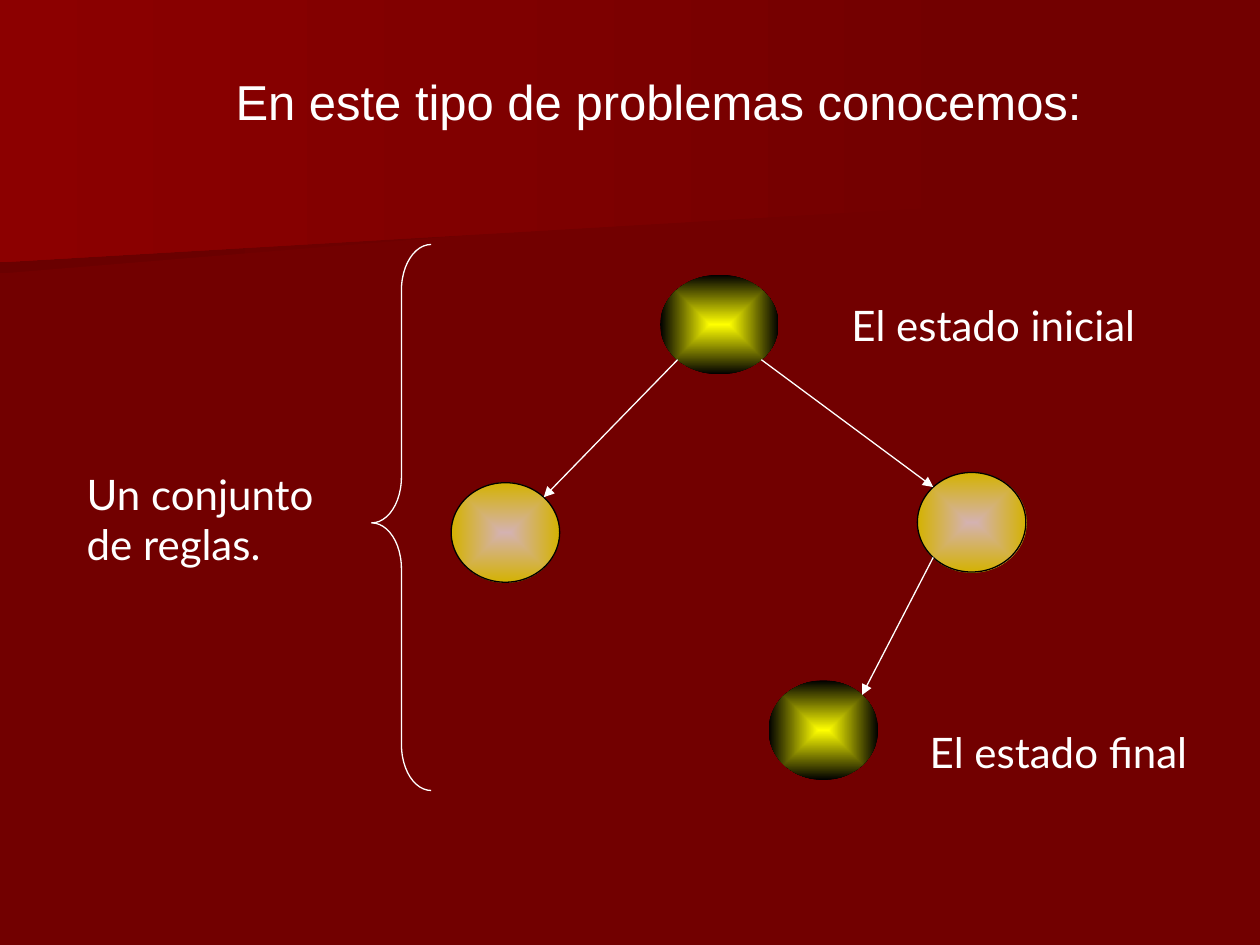
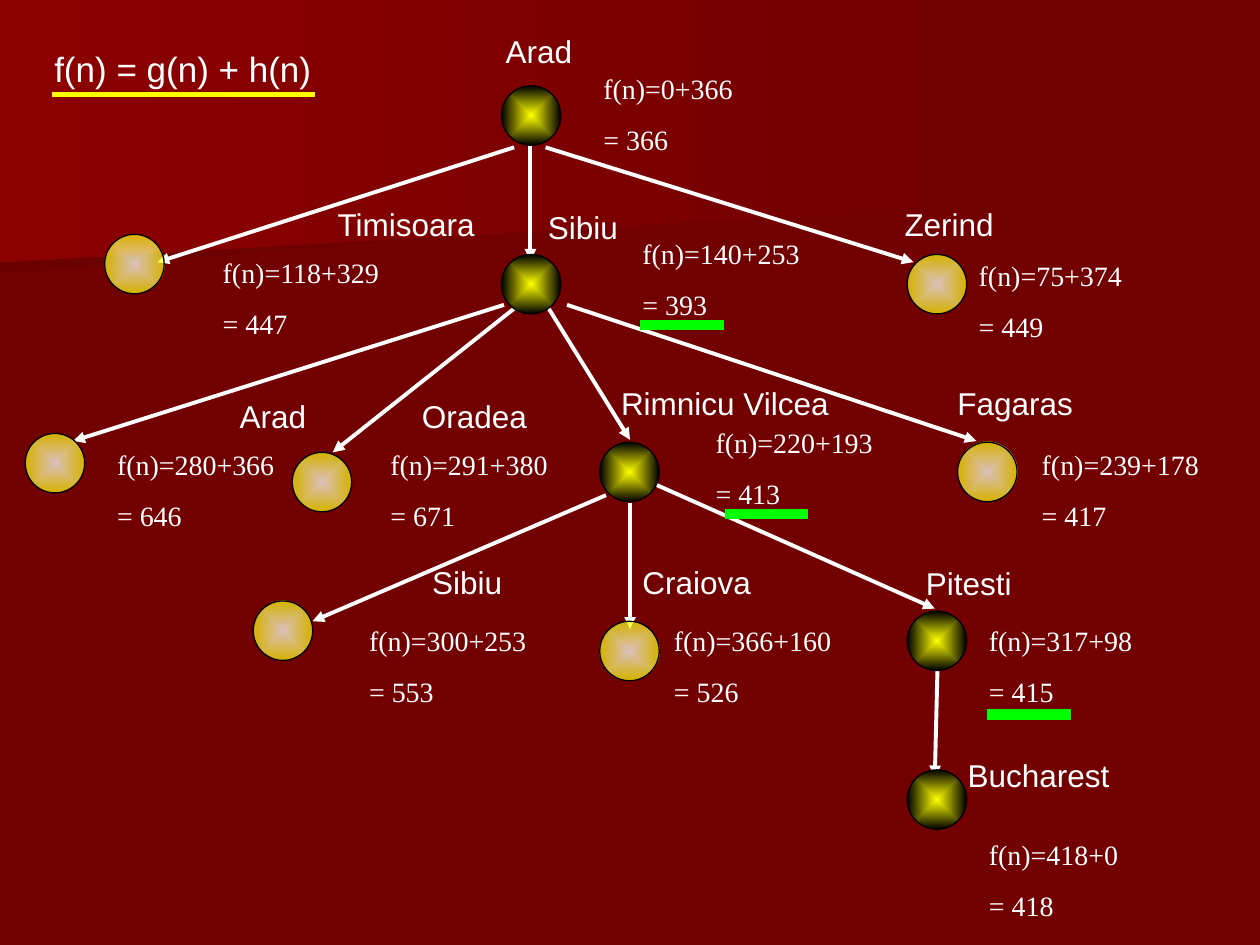
from dataclasses import dataclass
from math import sqrt

from pptx import Presentation
from pptx.dml.color import RGBColor
from pptx.enum.shapes import MSO_CONNECTOR as Connector, MSO_SHAPE as Preset
from pptx.enum.text import MSO_ANCHOR as Anchor, MSO_AUTO_SIZE as AutoSize, PP_ALIGN as Align
from pptx.oxml import parse_xml
from pptx.oxml.ns import nsdecls, qn
from pptx.util import Pt


@dataclass(frozen=True)
class Theme:
    background: str = "720000"
    band_light: str = "8C0000"
    band_dark: str = "6A0000"
    white: str = "FFFFFF"
    black: str = "000000"
    yellow: str = "FFFF00"
    green: str = "00FF00"
    heading_font: str = "Arial"
    label_font: str = "Lato"
    cost_font: str = "Times New Roman"
    heading_size: float = 28
    label_size: float = 24
    formula_size: float = 20
    city_size: float = 18
    cost_size: float = 16
    spacing: float = 0.625  # space before, as a share of the type size
    thin: float = 0.75
    thick: float = 2.25


@dataclass(frozen=True)
class Box:
    left: float
    top: float
    width: float
    height: float

    def inside(self, left, top, width, height):
        return Box(self.left + left, self.top + top, width, height)

    def points(self):
        return [Pt(v) for v in (self.left, self.top, self.width, self.height)]

    def corner(self, across, down):
        """Point of the inscribed ellipse on a diagonal; across and down are -1 or 1."""
        reach = 1 / sqrt(2)
        return (self.left + self.width / 2 * (1 + across * reach),
                self.top + self.height / 2 * (1 + down * reach))


THEME = Theme()
PAGE = Box(0, 0, 720, 540)
CIRCLE = 34

# City, (label left, top, width), cost, (cost left, top), (circle left, top), expanded
CITIES = [
    ("Arad", (275, 15, 66), "0+366", 366, (337.7, 37.4), (286.5, 49), True),
    ("Timisoara", (185.8, 113.8, 102), "118+329", 447, (120.2, 142.6), (59.8, 133.9), False),
    ("Sibiu", (306, 115.2, 60), "140+253", 393, (360, 131.8), (286.5, 145.4), True),
    ("Zerind", (509.8, 113.8, 72), "75+374", 449, (552.2, 144), (518.4, 145.4), False),
    ("Arad", (126, 223.2, 60), "280+366", 646, (59.8, 252), (14.4, 247.7), False),
    ("Oradea", (234, 223.2, 78), "291+380", 671, (216, 252), (167, 258.5), False),
    ("Rimnicu Vilcea", (347.8, 216, 138), "220+193", 413, (401.8, 239.8), (342.7, 252.7), True),
    ("Fagaras", (540, 216, 84), "239+178", 417, (588.2, 252), (547.2, 252.7), False),
    ("Sibiu", (239.8, 318.2, 60), "300+253", 553, (203.8, 352.8), (144.7, 343.4), False),
    ("Craiova", (360, 318.2, 90), "366+160", 526, (378, 352.8), (342.7, 355), False),
    ("Pitesti", (522, 319, 66), "317+98", 415, (558, 352.8), (518.4, 349.2), True),
    ("Bucharest", (545.8, 428.4, 96), "418+0", 418, (558, 475.2), (518.4, 439.9), True),
]
ROADS = [
    ((293.8, 84.2), (90, 149.8)), ((303.1, 82.8), (303.1, 149)),
    ((311.8, 84.2), (522, 149.8)), ((288, 174.2), (41.8, 252)),
    ((297.4, 173.5), (190.1, 258.5)), ((324, 174.2), (558, 252)),
    ((311.8, 173.5), (360, 251.3)), ((346.3, 283), (178.6, 355)),
    ((372.2, 275.8), (534.2, 347.8)), ((535.7, 383), (534.2, 444.2)),
    ((360, 287.3), (360, 359.3)),
]
BEST_COST_MARKS = [(365.8, 185.8), (414, 293.8), (563.8, 408.2)]


def color(value):
    return RGBColor.from_string(value)


def fill_gradient(shape, stops, direction):
    """Stops are (position %, colour, opacity %)."""
    shape.fill.gradient()
    stop_xml = "".join(
        f'<a:gs pos="{position * 1000}"><a:srgbClr val="{value}">'
        f'<a:alpha val="{opacity * 1000}"/></a:srgbClr></a:gs>'
        for position, value, opacity in stops)
    gradient = parse_xml(f'<a:gradFill {nsdecls("a")} rotWithShape="1">'
                         f'<a:gsLst>{stop_xml}</a:gsLst>{direction}</a:gradFill>')
    properties = shape.element.spPr
    properties.replace(properties.find(qn("a:gradFill")), gradient)


def write(shape, text, font, size, align=Align.LEFT, spaced=True):
    frame = shape.text_frame
    frame.text = text
    frame.word_wrap = True
    frame.auto_size = AutoSize.NONE
    frame.vertical_anchor = Anchor.TOP
    for paragraph in frame.paragraphs:
        paragraph.alignment = align
        paragraph.space_before = Pt(size * THEME.spacing if spaced else 0)
        for run in paragraph.runs:
            run.font.name = font
            run.font.size = Pt(size)
            run.font.color.rgb = color(THEME.white)


def add_label(slide, box, text, font, size, **options):
    write(slide.shapes.add_textbox(*box.points()), text, font, size, **options)


def set_title(slide, box, text, size, **options):
    title = slide.shapes.title
    title.left, title.top, title.width, title.height = box.points()
    write(title, text, THEME.heading_font, size, **options)


def add_line(slide, box, start, end, width, value=THEME.white, arrow=False):
    ends = [Pt(v) for x, y in (start, end) for v in (box.left + x, box.top + y)]
    line = slide.shapes.add_connector(Connector.STRAIGHT, *ends)
    line.line.width = Pt(width)
    line.line.color.rgb = color(value)
    if arrow:
        line.line._get_or_add_ln().append(parse_xml(f'<a:tailEnd {nsdecls("a")} type="triangle"/>'))
    line.element.spPr.append(parse_xml(f'<a:effectLst {nsdecls("a")}/>'))


def add_node(slide, box, strong, halo=70, outlined=True):
    node = slide.shapes.add_shape(Preset.OVAL, *box.points())
    node.shadow.inherit = False
    if strong:
        stops = [(0, THEME.yellow, 100), (100, THEME.black, 100)]
    else:
        stops = [(0, THEME.white, halo), (100, THEME.yellow, 70)]
    fill_gradient(node, stops, '<a:path path="rect"><a:fillToRect l="50000" t="50000" '
                               'r="50000" b="50000"/></a:path>')
    if outlined:
        node.line.color.rgb = color(THEME.black)
        node.line.width = Pt(THEME.thin)
    else:
        node.line.fill.background()


def decorate_master(master, slide):
    """Background and slanted bands, drawn on a slide and moved to the master."""
    master.background.fill.solid()
    master.background.fill.fore_color.rgb = color(THEME.background)
    bands = [
        ([(560.2, 110.2), (0, 156.2), (0, 72.7), (560.9, 72.7), (560.2, 92.2)], THEME.band_dark),
        ([(570.2, 116.6), (0, 149.8), (0, 0), (570.2, 0)], THEME.band_light),
    ]
    for index, (outline, shade) in enumerate(bands):
        corners = [(Pt(x), Pt(y)) for x, y in outline]
        builder = slide.shapes.build_freeform(*corners[0])
        builder.add_line_segments(corners[1:], close=True)
        band = builder.convert_to_shape()
        band.shadow.inherit = False
        band.line.fill.background()
        fill_gradient(band, [(0, THEME.background, 100), (100, shade, 100)],
                      '<a:lin ang="10800000" scaled="1"/>')
        band.element.nvSpPr.cNvPr.set("id", str(100 + index))
        master.shapes.element.insert(2 + index, band.element)


def draw_state_space(slide, box):
    # Nodes
    initial = box.inside(334.8, 17.3, 67.7, 56.9)
    left_state = box.inside(215.3, 136.1, 62, 56.9)
    right_state = box.inside(481.7, 130.3, 62, 56.9)
    final = box.inside(396.7, 249.1, 62.6, 56.9)
    for node, strong in ((initial, True), (left_state, False), (right_state, False), (final, True)):
        add_node(slide, node, strong, outlined=not strong)

    # Moves between states
    for start, end in (
        (initial.corner(-1, 1), left_state.corner(1, -1)),
        (initial.corner(1, 1), right_state.corner(-1, -1)),
        (right_state.corner(-1, 1), final.corner(1, -1)),
    ):
        add_line(slide, PAGE, start, end, THEME.thin, arrow=True)

    # Labels
    for text, place, spaced in (
        ("El estado inicial", (437, 28.1, 198.7, 36), True),
        ("El estado final", (481.7, 272.1, 198.7, 36), True),
        ("Un conjunto\nde reglas.", (0, 124.5, 153.4, 65), False),
    ):
        add_label(slide, box.inside(*place), text, THEME.label_font, THEME.label_size, spaced=spaced)

    # Brace
    brace = slide.shapes.add_shape(Preset.LEFT_BRACE, *box.inside(169.9, 0, 34, 312).points())
    brace.adjustments[0], brace.adjustments[1] = 0.77, 0.51
    brace.shadow.inherit = False
    brace.fill.background()
    brace.line.color.rgb = color(THEME.white)
    brace.line.width = Pt(THEME.thin)


def draw_search_tree(slide, box):
    # City names
    for index, (city, (left, top, width), *_) in enumerate(CITIES):
        align = Align.CENTER if city == "Arad" else Align.LEFT
        add_label(slide, box.inside(left, top, width, 28.8), city,
                  THEME.heading_font, THEME.city_size, align=align)

    # Roads
    for start, end in ROADS:
        add_line(slide, box, start, end, THEME.thick, arrow=True)

    # Costs and circles
    for _, _, terms, total, cost_place, circle_place, expanded in CITIES:
        add_label(slide, box.inside(*cost_place, 120, 55.4), f"f(n)={terms}\n= {total}",
                  THEME.cost_font, THEME.cost_size)
        add_node(slide, box.inside(*circle_place, CIRCLE, CIRCLE), expanded, halo=75)

    # Marks under the best costs
    for left, top in BEST_COST_MARKS:
        add_line(slide, box, (left, top), (left + 48, top), 6, THEME.green)


def build_state_slide(slide):
    set_title(slide, PAGE.inside(127.4, 37.4, 504.7, 41), "En este tipo de problemas conocemos:",
              THEME.heading_size, spaced=False)
    draw_state_space(slide, Box(42.5, 139.7, 680, 312))


def build_tree_slide(slide):
    set_title(slide, PAGE.inside(23.8, 23.8, 221.8, 31.7), "f(n) = g(n) + h(n)",
              THEME.formula_size)
    add_line(slide, PAGE, (30, 54), (180, 54), 3, THEME.yellow)
    draw_search_tree(slide, PAGE)


def main():
    presentation = Presentation()
    presentation.slide_width, presentation.slide_height = Pt(PAGE.width), Pt(PAGE.height)
    title_only = presentation.slide_layouts[5]
    slides = [presentation.slides.add_slide(title_only) for _ in range(2)]
    decorate_master(presentation.slide_master, slides[0])
    build_state_slide(slides[0])
    build_tree_slide(slides[1])
    presentation.save("out.pptx")


if __name__ == "__main__":
    main()
